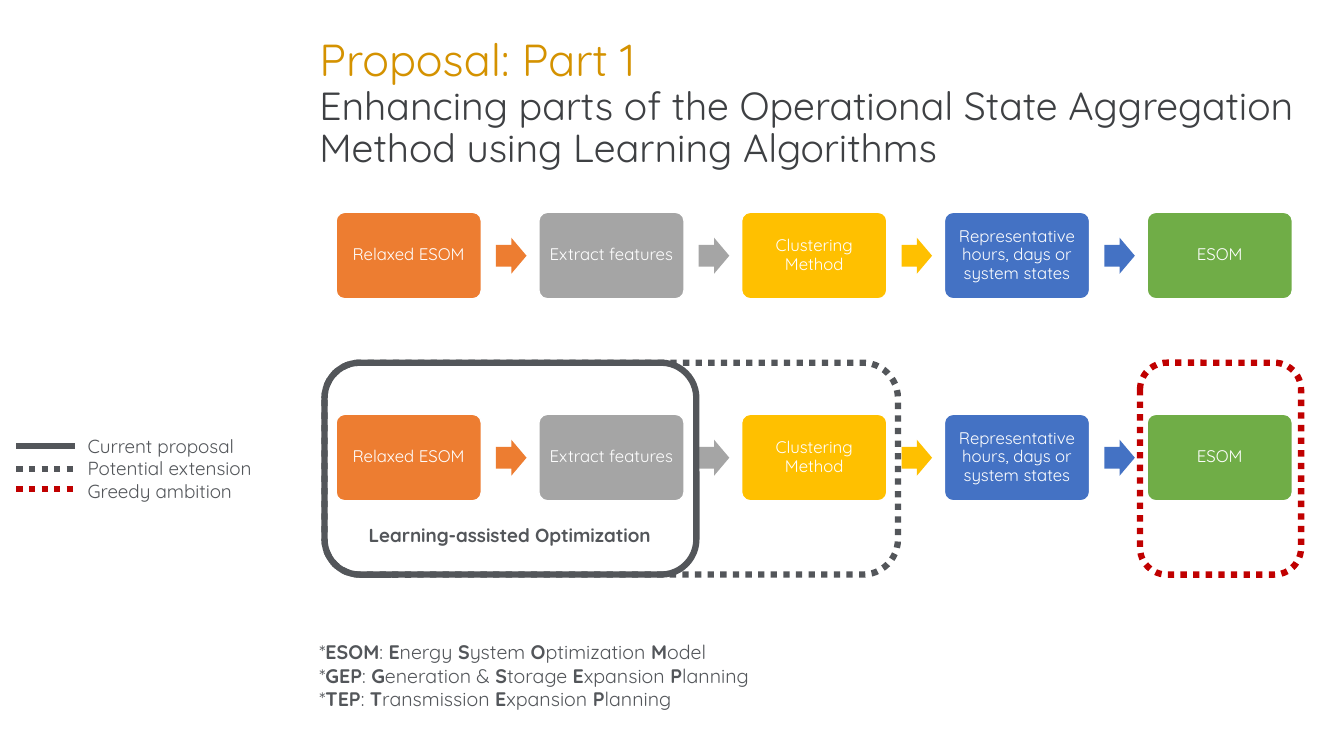
from dataclasses import dataclass

from lxml import etree
from pptx import Presentation
from pptx import util as u
from pptx.dml.color import RGBColor
from pptx.enum import dml, shapes, text
from pptx.oxml import ns


@dataclass(frozen=True)
class Theme:
    font: str = "Quicksand"
    ink: str = "53565A"
    red: str = "C00000"
    gold: str = "D49200"
    dark: str = "3E4043"
    white: str = "FFFFFF"
    title: float = 32
    subtitle: float = 28
    note: float = 14
    label: float = 13.5
    step: float = 12
    outline: float = 4.5


THEME = Theme()
DOTTED = dml.MSO_LINE.ROUND_DOT

STEPS = [
    ("Relaxed ESOM", "ED7D31"),
    ("Extract features", "A5A5A5"),
    ("Clustering Method", "FFC000"),
    ("Representative hours, days or system states", "4472C4"),
    ("ESOM", "70AD47"),
]
LEGEND = [
    ("Current proposal", 11.23, THEME.ink, None),
    ("Potential extension", 11.81, THEME.ink, DOTTED),
    ("Greedy ambition", 12.32, THEME.red, DOTTED),
]
# Every second piece between bars is bold.
ABBREVIATIONS = [
    "*|ESOM|: |E|nergy |S|ystem |O|ptimization |M|odel",
    "*|GEP|: |G|eneration & |S|torage |E|xpansion |P|lanning",
    "*|TEP|: |T|ransmission |E|xpansion |P|lanning",
]


def add_span(para, words, size, color, bold=False):
    span = para.add_run()
    span.text = words
    span.font.name = THEME.font
    span.font.size = u.Pt(size)
    span.font.bold = bold
    span.font.color.rgb = RGBColor.from_string(color)


def add_text(page, left, top, width, height, wrap=True):
    """Add an empty text box and return its text frame."""
    box = page.shapes.add_textbox(u.Cm(left), u.Cm(top), u.Cm(width), u.Cm(height))
    box.text_frame.word_wrap = wrap
    return box.text_frame


def next_para(frame, index):
    return frame.add_paragraph() if index else frame.paragraphs[0]


def add_block(page, kind, left, top, width, height, fill=None):
    block = page.shapes.add_shape(
        kind, u.Cm(left), u.Cm(top), u.Cm(width), u.Cm(height)
    )
    block.shadow.inherit = False
    if fill:
        block.fill.solid()
        block.fill.fore_color.rgb = RGBColor.from_string(fill)
    else:
        block.fill.background()
    block.line.fill.background()
    return block


def style_line(line, color, width, dash=None):
    line.color.rgb = RGBColor.from_string(color)
    line.width = u.Pt(width)
    if dash:
        line.dash_style = dash


def add_step(page, left, top, words, color):
    box = add_block(
        page, shapes.MSO_SHAPE.ROUNDED_RECTANGLE, left, top, 3.66, 2.18, color
    )
    box.adjustments[0] = 0.1
    style_line(box.line, THEME.white, 1)
    frame = box.text_frame
    frame.word_wrap = True
    frame.vertical_anchor = text.MSO_ANCHOR.MIDDLE
    frame.margin_left = frame.margin_right = u.Cm(0.13)
    frame.margin_top = frame.margin_bottom = u.Cm(0.13)
    para = frame.paragraphs[0]
    para.alignment = text.PP_ALIGN.CENTER
    para.line_spacing = 0.9
    add_span(para, words, THEME.step, THEME.white)


def add_process(page, top):
    """Draw the row of steps, each but the last followed by an arrow."""
    for index, (words, color) in enumerate(STEPS):
        left = 8.47 + index * 5.11
        add_step(page, left, top, words, color)
        if index < len(STEPS) - 1:
            arrow = add_block(
                page, shapes.MSO_SHAPE.RIGHT_ARROW,
                left + 4.03, top + 0.64, 0.77, 0.91, color,
            )
            arrow.adjustments[0] = 0.6


def add_scope(page, left, width, color, dash=None):
    """Outline the part of the lower process that a scope covers."""
    scope = add_block(
        page, shapes.MSO_SHAPE.ROUNDED_RECTANGLE, left, 9.14, width, 5.34
    )
    style_line(scope.line, color, THEME.outline, dash)


def add_title(page):
    para = add_text(page, 7.8, 0.84, 25.45, 3.6).paragraphs[0]
    para.line_spacing = 0.9
    add_span(para, "Proposal: Part 1", THEME.title, THEME.gold)
    para.add_line_break()
    add_span(
        para,
        "Enhancing parts of the Operational State Aggregation "
        "Method using Learning Algorithms",
        THEME.subtitle, THEME.dark,
    )


def add_legend(page):
    frame = add_text(page, 1.96, 10.82, 4.93, 1.98, wrap=False)
    for index, (words, height, color, dash) in enumerate(LEGEND):
        add_span(next_para(frame, index), words, THEME.label, THEME.ink)
        sample = page.shapes.add_connector(
            shapes.MSO_CONNECTOR.STRAIGHT,
            u.Cm(0.41), u.Cm(height), u.Cm(1.88), u.Cm(height),
        )
        style_line(sample.line, color, THEME.outline, dash)
        etree.SubElement(sample.element.spPr, ns.qn("a:effectLst"))


def add_abbreviations(page):
    frame = add_text(page, 7.8, 16, 16.94, 2.06)
    for index, entry in enumerate(ABBREVIATIONS):
        para = next_para(frame, index)
        for order, piece in enumerate(entry.split("|")):
            add_span(para, piece, THEME.note, THEME.ink, bold=order % 2 == 1)


def main():
    deck = Presentation()
    deck.slide_width, deck.slide_height = u.Cm(33.87), u.Cm(19.05)
    page = deck.slides.add_slide(deck.slide_layouts[6])
    add_title(page)
    add_process(page, 5.35)
    add_process(page, 10.44)
    add_scope(page, 8.18, 9.37, THEME.ink)
    add_scope(page, 8.18, 14.45, THEME.ink, DOTTED)
    add_scope(page, 28.73, 4.06, THEME.red, DOTTED)
    caption = add_text(page, 9.04, 13.08, 7.65, 0.84, wrap=False)
    add_span(
        caption.paragraphs[0], "Learning-assisted Optimization",
        THEME.label, THEME.ink, bold=True,
    )
    add_legend(page)
    add_abbreviations(page)
    deck.save("out.pptx")


if __name__ == "__main__":
    main()
